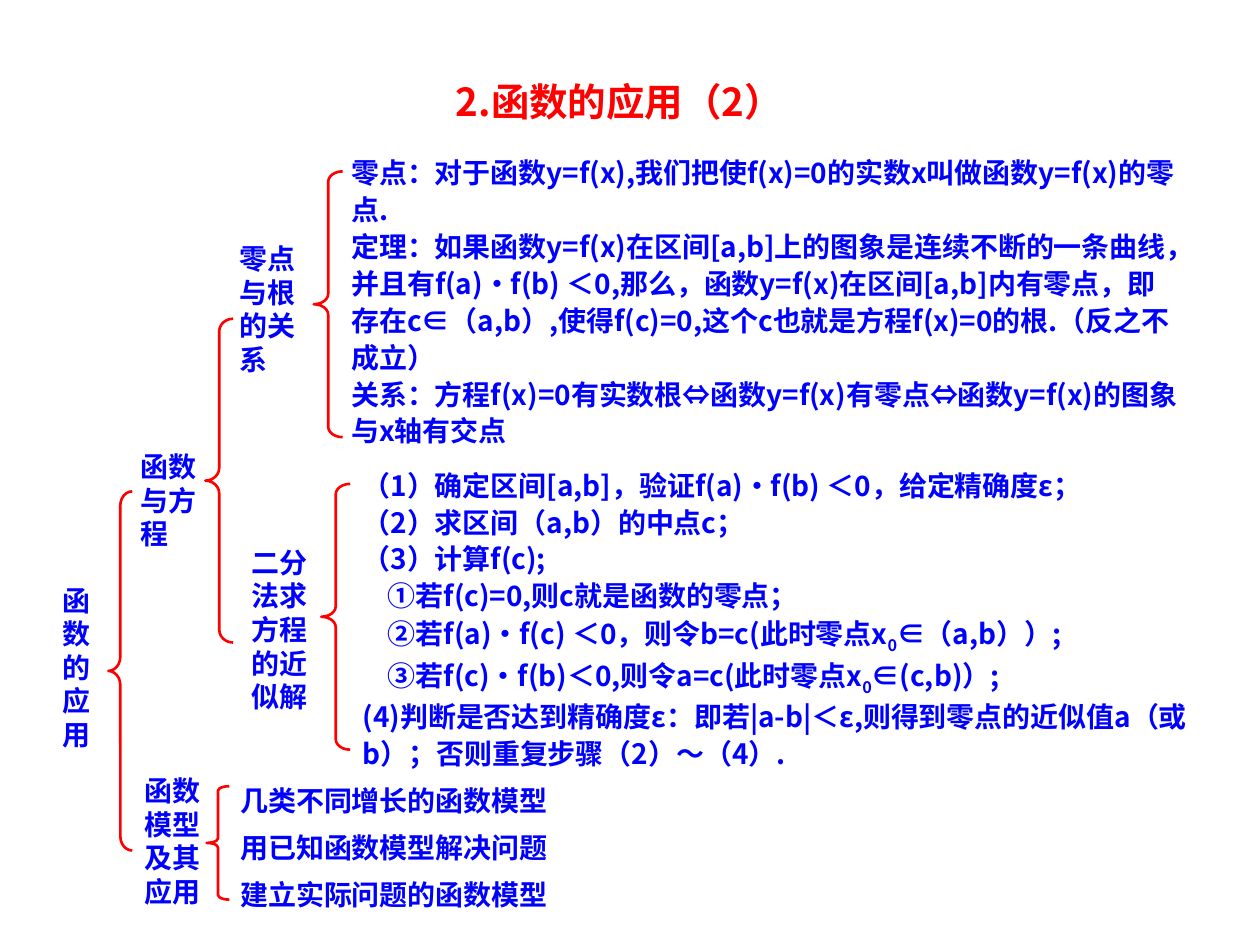
from pptx import Presentation
from pptx import util as u
from pptx.dml.color import RGBColor
from pptx.enum import shapes, text
from pptx.oxml.ns import qn
from lxml import etree

SANS = "Noto Sans CJK SC"
RED, BLUE = "FF0000", "0000FF"
TITLE = "2.函数的应用（2）"

LABELS = [
    ("函数的应用", (0.4, 4.58, 0.48, 1.44), SANS),
    ("函数与方程", (1.02, 3.52, 0.81, 0.9), SANS),
    ("零点与根的关系", (1.8, 1.87, 0.67, 1.17), SANS),
    ("二分法求方程的近似解", (1.9, 4.28, 0.81, 1.44), "Arial"),
    ("函数模型及其应用", (1.05, 6.09, 0.81, 1.17), "Arial"),
]

ROOTS = [
    "零点：对于函数y=f(x),我们把使f(x)=0的实数x叫做函数y=f(x)的零点.",
    "定理：如果函数y=f(x)在区间[a,b]上的图象是连续不断的一条曲线，并且有f(a)•f(b) ＜0,"
    "那么，函数y=f(x)在区间[a,b]内有零点，即存在c∈（a,b）,使得f(c)=0,"
    "这个c也就是方程f(x)=0的根.（反之不成立）",
    "关系：方程f(x)=0有实数根⇔函数y=f(x)有零点⇔函数y=f(x)的图象与x轴有交点",
]
STEPS = [
    "（1）确定区间[a,b]，验证f(a)•f(b) ＜0，给定精确度ε；",
    "（2）求区间（a,b）的中点c；",
    "（3）计算f(c);",
    "①若f(c)=0,则c就是函数的零点；",
    "②若f(a)•f(c) ＜0，则令b=c(此时零点x_0_∈（a,b））;",
    "③若f(c)•f(b)＜0,则令a=c(此时零点x_0_∈(c,b)）;",
    "(4)判断是否达到精确度ε：即若|a-b|＜ε,则得到零点的近似值a（或b）；否则重复步骤（2）～（4）.",
]
MODELS = ["几类不同增长的函数模型", "用已知函数模型解决问题", "建立实际问题的函数模型"]

BLOCKS = [
    (ROOTS, (2.69, 1.16, 6.77, 2.45), 1.1),
    (STEPS, (2.78, 3.64, 6.87, 2.53), 1.1),
    (MODELS, (1.81, 6.06, 6.87, 1.22), 1.4),
]

BRACES = [
    ((0.86, 3.9, 0.19, 2.85), 0.59),
    ((2.49, 1.36, 0.23, 2.11), 0.36),
    ((2.55, 3.84, 0.23, 2.11), 0.36),
    ((1.63, 2.53, 0.22, 2.57), 0.46),
    ((1.64, 6.24, 0.18, 0.9), 0.2),
]


def color(hue):
    return RGBColor.from_string(hue)


def place(box):
    return [u.Inches(n) for n in box]


def write(shape, lines, size=16, font=SANS, hue=BLUE, lead=None, align=text.PP_ALIGN.LEFT):
    frame = shape.text_frame
    frame.word_wrap = True
    frame.auto_size = text.MSO_AUTO_SIZE.NONE
    frame.vertical_anchor = text.MSO_ANCHOR.TOP
    for i, line in enumerate(lines):
        para = frame.add_paragraph() if i else frame.paragraphs[0]
        para.alignment = align
        para.space_before = u.Pt(0)
        if lead:
            para.line_spacing = lead
        if line[0] in "①②③":
            para._p.get_or_add_pPr().set("marL", str(u.Inches(0.2)))
        for j, part in enumerate(line.split("_")):
            run = para.add_run()
            run.text = part
            run.font.size = u.Pt(size)
            run.font.bold = True
            run.font.name = font
            run.font.color.rgb = color(hue)
            props = run._r.get_or_add_rPr()
            etree.SubElement(props, qn("a:ea")).set("typeface", font)
            if j % 2:
                props.set("baseline", "-25000")


def brace(slide, box, curve):
    shape = slide.shapes.add_shape(shapes.MSO_SHAPE.LEFT_BRACE, *place(box))
    shape.adjustments[0] = curve
    shape.adjustments[1] = 0.5
    shape.shadow.inherit = False
    shape.fill.background()
    shape.line.color.rgb = color(RED)
    shape.line.width = u.Pt(1.5)


def main():
    deck = Presentation()
    deck.slide_width, deck.slide_height = u.Inches(10), u.Inches(7.5)
    slide = deck.slides.add_slide(deck.slide_layouts[5])
    title = slide.shapes.title
    title.left, title.top, title.width, title.height = place((2.43, 0.57, 4.97, 0.47))
    write(title, [TITLE], size=22, hue=RED, align=text.PP_ALIGN.CENTER)
    for label, box, font in LABELS:
        write(slide.shapes.add_textbox(*place(box)), [label], font=font)
    for lines, box, lead in BLOCKS:
        write(slide.shapes.add_textbox(*place(box)), lines, lead=lead)
    for box, curve in BRACES:
        brace(slide, box, curve)
    deck.save("out.pptx")


if __name__ == "__main__":
    main()
